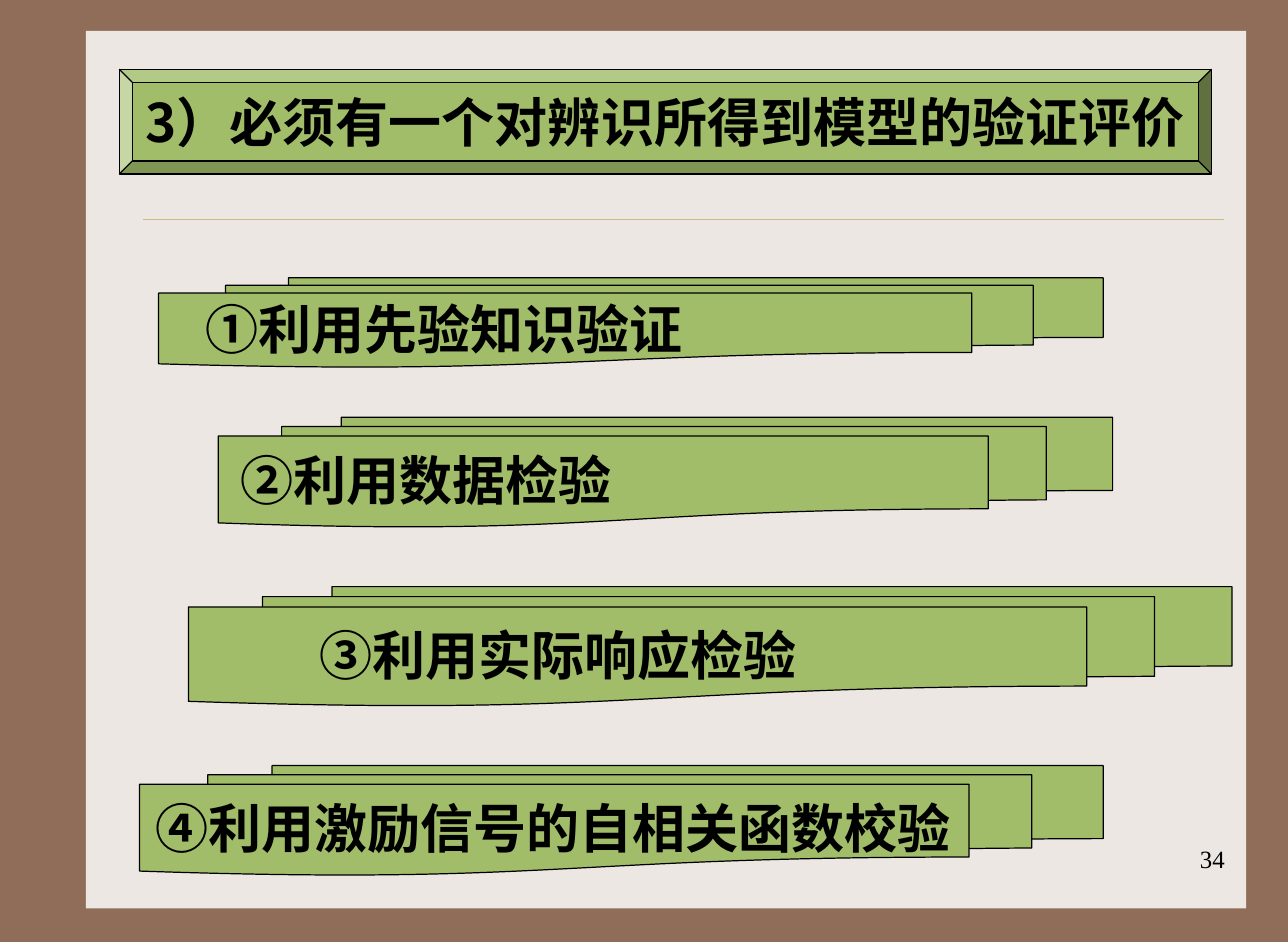
from pptx import Presentation
from pptx import util as u
from pptx.dml import color
from pptx.enum import shapes, text
from pptx.oxml import ns
from lxml import etree

In = u.Inches
SANS, SERIF = "Noto Sans CJK SC", "Times New Roman"
BROWN, PAPER, GREEN, RULE, BLACK = "906D58", "EDE7E3", "A1BD69", "CBBD83", "000000"

TITLE = "3）必须有一个对辨识所得到模型的验证评价"
PAGE = "34"
ITEMS = [
    ("①利用先验知识验证", (1.33, 2.33, 7.92, 0.75), 0.39),
    ("②利用数据检验", (1.83, 3.5, 7.5, 0.92), 0.19),
    ("③利用实际响应检验", (1.58, 4.92, 8.75, 1), 1.1),
    ("④利用激励信号的自相关函数校验", (1.17, 6.42, 8.08, 0.92), 0.13),
]


def rgb(code):
    return color.RGBColor.from_string(code)


def write(box, words, size=32, font=SANS, bold=True, align=text.PP_ALIGN.LEFT,
          anchor=text.MSO_ANCHOR.MIDDLE, left=0.1, right=0.1):
    frame = box.text_frame
    frame.word_wrap = True
    frame.auto_size = text.MSO_AUTO_SIZE.NONE
    frame.vertical_anchor = anchor
    frame.margin_left, frame.margin_right = In(left), In(right)
    frame.margin_top = frame.margin_bottom = In(0.05)
    para = frame.paragraphs[0]
    para.alignment = align
    run = para.add_run()
    run.text = words
    run.font.size, run.font.bold, run.font.name = u.Pt(size), bold, font
    run.font.color.rgb = rgb(BLACK)
    east = etree.SubElement(run.font._element, ns.qn("a:ea"))
    east.set("typeface", font)


def draw(kind, at, fill, line=None):
    shape = slide.shapes.add_shape(kind, *map(In, at))
    shape.shadow.inherit = False
    shape.fill.solid()
    shape.fill.fore_color.rgb = rgb(fill)
    if line:
        shape.line.color.rgb = rgb(line)
        shape.line.width = u.Pt(0.75)
    else:
        shape.line.fill.background()
    return shape


deck = Presentation()
deck.slide_width, deck.slide_height = In(10.8), In(7.9)
slide = deck.slides.add_slide(deck.slide_layouts[5])
slide.background.fill.solid()
slide.background.fill.fore_color.rgb = rgb(BROWN)

kinds = shapes.MSO_SHAPE
draw(kinds.RECTANGLE, (0.72, 0.26, 9.73, 7.36), PAPER)
rule = slide.shapes.add_connector(
    shapes.MSO_CONNECTOR.STRAIGHT, In(1.2), In(1.84), In(10.26), In(1.84))
rule.line.color.rgb = rgb(RULE)
rule.line.width = u.Pt(0.25)
etree.SubElement(rule._element.spPr, ns.qn("a:effectLst"))

page = slide.shapes.add_textbox(In(8.13), In(7.03), In(2.25), In(0.53))
write(page, PAGE, size=15, font=SERIF, bold=False, align=text.PP_ALIGN.RIGHT,
      anchor=text.MSO_ANCHOR.TOP, right=0.11)

bevel = draw(kinds.BEVEL, (1, 0.58, 9.16, 0.88), GREEN, BLACK)
bevel.adjustments[0] = 0.125
title = slide.shapes.title
title.left, title.top, title.width, title.height = map(In, (1, 0.58, 9.3, 0.88))
write(title, TITLE, left=0.22, right=0)
tree = slide.shapes._spTree
tree.remove(title._element)
tree.append(title._element)

for words, at, left in ITEMS:
    card = draw(kinds.FLOWCHART_MULTIDOCUMENT, at, GREEN, BLACK)
    write(card, words, left=left, right=0)

deck.save("out.pptx")
